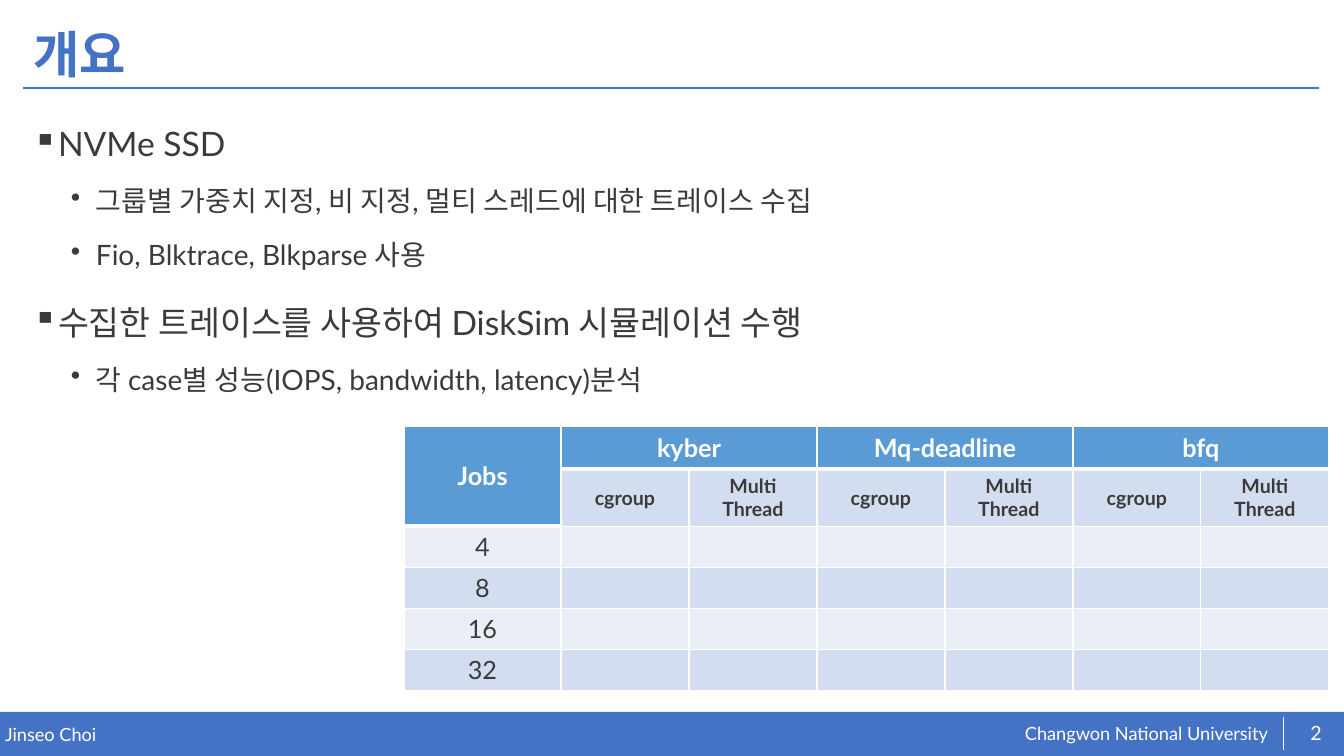
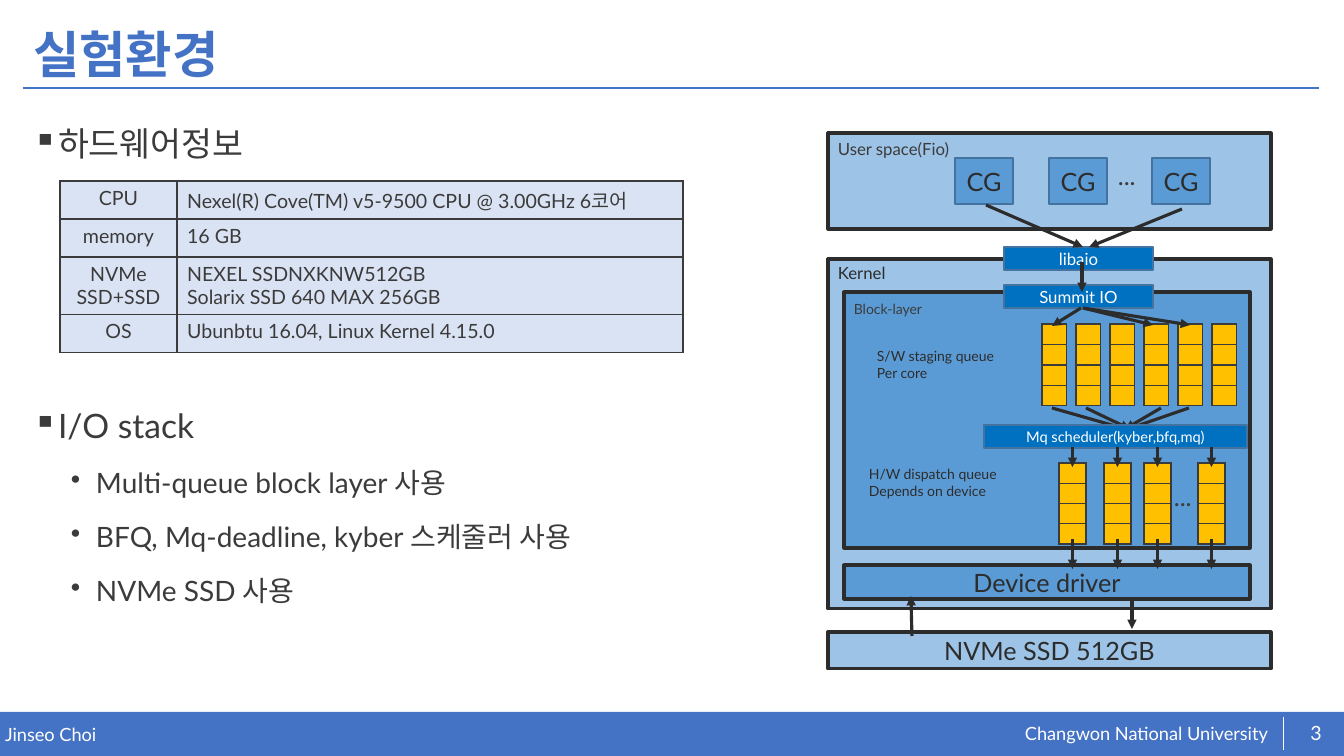
from lxml.etree import SubElement
from pptx import Presentation
from pptx.dml.color import RGBColor
from pptx.enum.shapes import MSO_CONNECTOR, MSO_SHAPE
from pptx.enum.text import MSO_ANCHOR, MSO_AUTO_SIZE, PP_ALIGN
from pptx.oxml.ns import qn
from pptx.util import Pt

SLIDE_WIDTH, SLIDE_HEIGHT = 1344, 756
SCALE = 12192000 / SLIDE_WIDTH
BODY_FONT, TITLE_FONT = "Lato", "Roboto"
COLORS = {
    "accent": "4472C4", "white": "FFFFFF", "text": "3B3B3B", "ink": "2C2C2C",
    "header": "5B9BD5", "band_dark": "D2DEEF", "band_light": "EAEFF7",
    "hardware": "DAE3F3", "space": "9DC3E6", "layer": "5B9BD5",
    "step": "0070C0", "step_line": "43739E", "queue": "FFC000",
}

# Overview slide
OVERVIEW = [
    (0, "NVMe SSD"),
    (1, "그룹별 가중치 지정, 비 지정, 멀티 스레드에 대한 트레이스 수집"),
    (1, "Fio, Blktrace, Blkparse 사용"),
    (0, "수집한 트레이스를 사용하여 DiskSim 시뮬레이션 수행"),
    (1, "각 case별 성능(IOPS, bandwidth, latency)분석"),
]
SCHEDULERS = ["kyber", "Mq-deadline", "bfq"]
CASES = ["cgroup", "Multi Thread"]
JOBS = ["4", "8", "16", "32"]

# Test environment slide
HARDWARE = [
    ("CPU", ["Nexel(R) Cove(TM) v5-9500 CPU @ 3.00GHz 6코어"]),
    ("memory", ["16 GB"]),
    ("NVMe SSD+SSD", ["NEXEL SSDNXKNW512GB", "Solarix SSD 640 MAX 256GB"]),
    ("OS", ["Ubunbtu 16.04, Linux Kernel 4.15.0"]),
]
IO_STACK = [
    (0, "I/O stack"),
    (1, "Multi-queue block layer 사용"),
    (1, "BFQ, Mq-deadline, kyber 스케줄러 사용"),
    (1, "NVMe SSD 사용"),
]
# Box: left, top, width, height; text; size
SPACES = [
    ((828, 632, 443, 37), "NVMe SSD 512GB", 18),
    ((828, 259, 443, 350), "", 18),
    ((828, 133, 443, 96), "", 18),
]
LAYERS = [
    ((844, 292, 406, 256), "", 18),
    ((844, 565, 406, 34), "Device driver", 18),
]
CONTROL_GROUPS = [((left, 158, 58, 46), "CG", 18) for left in (955, 1049, 1152)]
STEPS = [
    ((1004, 247, 149, 23), "libaio", 12),
    ((1004, 285, 149, 23), "Summit IO", 12),
]
SCHEDULER_STEP = [((984, 425, 263, 23), "Mq scheduler(kyber,bfq,mq)", 10.5)]
LABELS = [
    ((828, 134, 302, 30), ["User space(Fio)"], 12, "text"),
    ((828, 258, 302, 30), ["Kernel"], 12, "ink"),
    ((1108, 155, 45, 40), ["..."], 18, "text"),
    ((844, 296, 163, 27), ["Block-layer"], 10, "text"),
    ((867, 343, 163, 61), ["S/W staging queue", "Per core"], 10, "ink"),
    ((859, 461, 241, 61), ["H/W dispatch queue", "Depends on device"], 10, "ink"),
    ((1164, 476, 58, 40), ["..."], 18, "text"),
]
STAGING_QUEUES = [(1042 + 34 * index, 324, 23, 82) for index in range(6)]
DISPATCH_QUEUES = [(left, 463, 27, 81) for left in (1059, 1104, 1144, 1198)]
QUEUE_ROWS = 4
STAGING_ARROWS = [
    (1052, 408, 1126, 429), (1086, 408, 1130, 429),
    (1161, 408, 1125, 429), (1189, 408, 1128, 429),
]
FLOW_ARROWS = [
    (986, 205, 1083, 247), (1182, 209, 1089, 247), (1082, 262, 1082, 292),
    (1081, 308, 1052, 326), (1083, 308, 1153, 325), (1083, 308, 1190, 325),
    (1132, 599, 1132, 629), (912, 636, 911, 596),
]


def px(*lengths):
    """Turn pixel lengths into a list of EMU."""
    return [round(length * SCALE) for length in lengths]


def rgb(name):
    return RGBColor.from_string(COLORS[name])


def write(frame, lines, size=14, color="text", font=BODY_FONT, bold=False,
          align=PP_ALIGN.LEFT, anchor=MSO_ANCHOR.TOP, inset=None):
    """Fill a text frame, one paragraph a line, and return the paragraphs."""
    frame.word_wrap = True
    frame.vertical_anchor = anchor
    if inset is not None:
        frame.margin_left = frame.margin_right = inset
        frame.margin_top = frame.margin_bottom = inset
    for index, line in enumerate(lines):
        paragraph = frame.paragraphs[0] if index == 0 else frame.add_paragraph()
        paragraph.alignment = align
        run = paragraph.add_run()
        run.text = line
        run.font.name, run.font.size, run.font.bold = font, Pt(size), bold
        run.font.color.rgb = rgb(color)
    return frame.paragraphs


def add_text(slide, box, lines, **text_format):
    shape = slide.shapes.add_textbox(*px(*box))
    return write(shape.text_frame, lines, **text_format)


def add_outline(slide, box, items):
    """Add a bulleted list of (level, text) items."""
    paragraphs = add_text(slide, box, [text for _, text in items])
    for index, (paragraph, (level, _)) in enumerate(zip(paragraphs, items)):
        properties = paragraph._p.get_or_add_pPr()
        left, hanging = px((25, 63)[level], -25)
        properties.set("marL", str(left))
        properties.set("indent", str(hanging))
        SubElement(properties, qn("a:buChar"), char="▪•"[level])
        paragraph.level = level
        paragraph.line_spacing = 1.4
        paragraph.space_before = Pt((10, 5)[level] if index else 0)
        paragraph.runs[0].font.size = Pt((24, 20)[level])


def add_box(slide, box, fill, line=None, width=1):
    shape = slide.shapes.add_shape(MSO_SHAPE.RECTANGLE, *px(*box))
    shape.shadow.inherit = False
    shape.fill.solid()
    shape.fill.fore_color.rgb = rgb(fill)
    if line:
        shape.line.color.rgb = rgb(line)
        shape.line.width = Pt(width)
    else:
        shape.line.fill.background()
    return shape


def add_boxes(slide, boxes, fill, line, width, color="ink"):
    for box, text, size in boxes:
        shape = add_box(slide, box, fill, line, width)
        if text:
            write(shape.text_frame, [text], size=size, color=color, inset=0,
                  align=PP_ALIGN.CENTER, anchor=MSO_ANCHOR.MIDDLE)


def add_line(slide, ends, color="ink", width=2.25, arrow=False):
    connector = slide.shapes.add_connector(MSO_CONNECTOR.STRAIGHT, *px(*ends))
    connector.line.color.rgb = rgb(color)
    connector.line.width = Pt(width)
    if arrow:
        SubElement(connector.line._get_or_add_ln(), qn("a:tailEnd"), type="triangle")
    SubElement(connector._element.spPr, qn("a:effectLst"))


def add_arrows(slide, arrows):
    for ends in arrows:
        add_line(slide, ends, arrow=True)


def add_grid(slide, left, top, widths, heights):
    """Add an unstyled table with the given column widths and row heights."""
    box = px(left, top, sum(widths), sum(heights))
    table = slide.shapes.add_table(len(heights), len(widths), *box).table
    table.first_row = table.horz_banding = False
    for column, width in zip(table.columns, px(*widths)):
        column.width = width
    for row, height in zip(table.rows, px(*heights)):
        row.height = height
    return table


def paint_cell(cell, fill, border, top=1, bottom=1):
    properties = cell._tc.get_or_add_tcPr()
    for side, width in (("L", 1), ("R", 1), ("T", top), ("B", bottom)):
        line = SubElement(properties, qn(f"a:ln{side}"), w=str(Pt(width)))
        solid = SubElement(line, qn("a:solidFill"))
        SubElement(solid, qn("a:srgbClr"), val=COLORS[border])
    cell.fill.solid()
    cell.fill.fore_color.rgb = rgb(fill)


def write_cell(cell, lines, **text_format):
    cell.vertical_anchor = text_format.pop("anchor", MSO_ANCHOR.TOP)
    write(cell.text_frame, lines, anchor=cell.vertical_anchor, **text_format)


def add_jobs_table(slide):
    column_count = 1 + len(SCHEDULERS) * len(CASES)
    row_count = 2 + len(JOBS)
    table = add_grid(slide, 404, 426, [157] + [128] * (column_count - 1),
                     [43, 57] + [41] * len(JOBS))
    centered = {"align": PP_ALIGN.CENTER, "anchor": MSO_ANCHOR.MIDDLE}
    heading = {"size": 18, "color": "white", "bold": True, **centered}

    def is_header(row, column):
        return row == 0 or (row, column) == (1, 0)

    for row in range(row_count):
        for column in range(column_count):
            header = is_header(row, column)
            fill = "header" if header else ("band_light", "band_dark")[row % 2]
            paint_cell(table.cell(row, column), fill, "white",
                       top=3 if row and is_header(row - 1, column) else 1,
                       bottom=3 if header else 1)

    table.cell(0, 0).merge(table.cell(1, 0))
    write_cell(table.cell(0, 0), ["Jobs"], **heading)
    for index, scheduler in enumerate(SCHEDULERS):
        first = 1 + index * len(CASES)
        table.cell(0, first).merge(table.cell(0, first + len(CASES) - 1))
        write_cell(table.cell(0, first), [scheduler], **heading)
        for offset, case in enumerate(CASES):
            write_cell(table.cell(1, first + offset), [case], bold=True, **centered)
    for row, count in enumerate(JOBS, 2):
        write_cell(table.cell(row, 0), [count], size=18, **centered)


def add_hardware_table(slide):
    table = add_grid(slide, 60, 181, [117, 506], [38, 38, 57, 38])
    for row, (part, details) in enumerate(HARDWARE):
        for column, lines in enumerate(([part], details)):
            cell = table.cell(row, column)
            paint_cell(cell, "hardware", "text")
            write_cell(cell, lines, align=(PP_ALIGN.CENTER, PP_ALIGN.LEFT)[column])


def add_queues(slide, queues):
    for left, top, width, height in queues:
        table = add_grid(slide, left, top, [width], [height / QUEUE_ROWS] * QUEUE_ROWS)
        for cell in table.iter_cells():
            paint_cell(cell, "queue", "text")
            cell.margin_top = cell.margin_bottom = 0
            SubElement(cell.text_frame.paragraphs[0]._p, qn("a:endParaRPr"), sz="600")


def add_stack_diagram(slide):
    add_boxes(slide, SPACES, "space", "ink", 2.25)
    add_boxes(slide, LAYERS, "layer", "ink", 2.25)
    add_boxes(slide, CONTROL_GROUPS, "layer", "step_line", 1)
    add_boxes(slide, STEPS, "step", "step_line", 1, color="white")
    for box, lines, size, color in LABELS:
        add_text(slide, box, lines, size=size, color=color)
    add_queues(slide, STAGING_QUEUES)
    add_arrows(slide, STAGING_ARROWS)
    add_boxes(slide, SCHEDULER_STEP, "step", "step_line", 1, color="white")
    add_queues(slide, DISPATCH_QUEUES)
    add_arrows(slide, FLOW_ARROWS)
    for left, _, width, _ in DISPATCH_QUEUES:
        center = left + width / 2
        add_arrows(slide, [(center, 447, center, 467), (center, 539, center, 569)])


def add_framed_slide(presentation, title, number):
    """Add a slide with the shared title, rule and footer band."""
    slide = presentation.slides.add_slide(presentation.slide_layouts[5])
    add_box(slide, (0, 712, SLIDE_WIDTH, 44), "accent")
    footer = {"size": 13, "color": "white", "inset": 0}
    add_text(slide, (1025, 722, 255, 23), ["Changwon National University"], **footer)
    add_text(slide, (5, 723, 660, 22), ["Jinseo Choi"], **footer)
    add_text(slide, (1292, 713, 48, 40), [str(number)], size=14, color="white", inset=0,
             align=PP_ALIGN.CENTER, anchor=MSO_ANCHOR.MIDDLE)
    add_line(slide, (23, 88, 1319, 88), "accent", 2)
    add_line(slide, (1283, 717, 1283, 750), "white", 0.5)
    shape = slide.shapes.title
    shape.left, shape.top, shape.width, shape.height = px(23, 18, 1296, 78)
    shape.text_frame.auto_size = MSO_AUTO_SIZE.NONE
    paragraphs = write(shape.text_frame, [title], size=36, color="accent",
                       font=TITLE_FONT, bold=True, anchor=MSO_ANCHOR.MIDDLE)
    paragraphs[0].line_spacing = 0.9
    return slide


def main():
    presentation = Presentation()
    presentation.slide_width, presentation.slide_height = px(SLIDE_WIDTH, SLIDE_HEIGHT)

    overview = add_framed_slide(presentation, "개요", 2)
    add_outline(overview, (23, 102, 1296, 300), OVERVIEW)
    add_jobs_table(overview)

    environment = add_framed_slide(presentation, "실험환경", 3)
    add_outline(environment, (23, 102, 700, 70), [(0, "하드웨어정보")])
    add_outline(environment, (23, 384, 700, 240), IO_STACK)
    add_hardware_table(environment)
    add_stack_diagram(environment)

    presentation.save("out.pptx")


if __name__ == "__main__":
    main()
